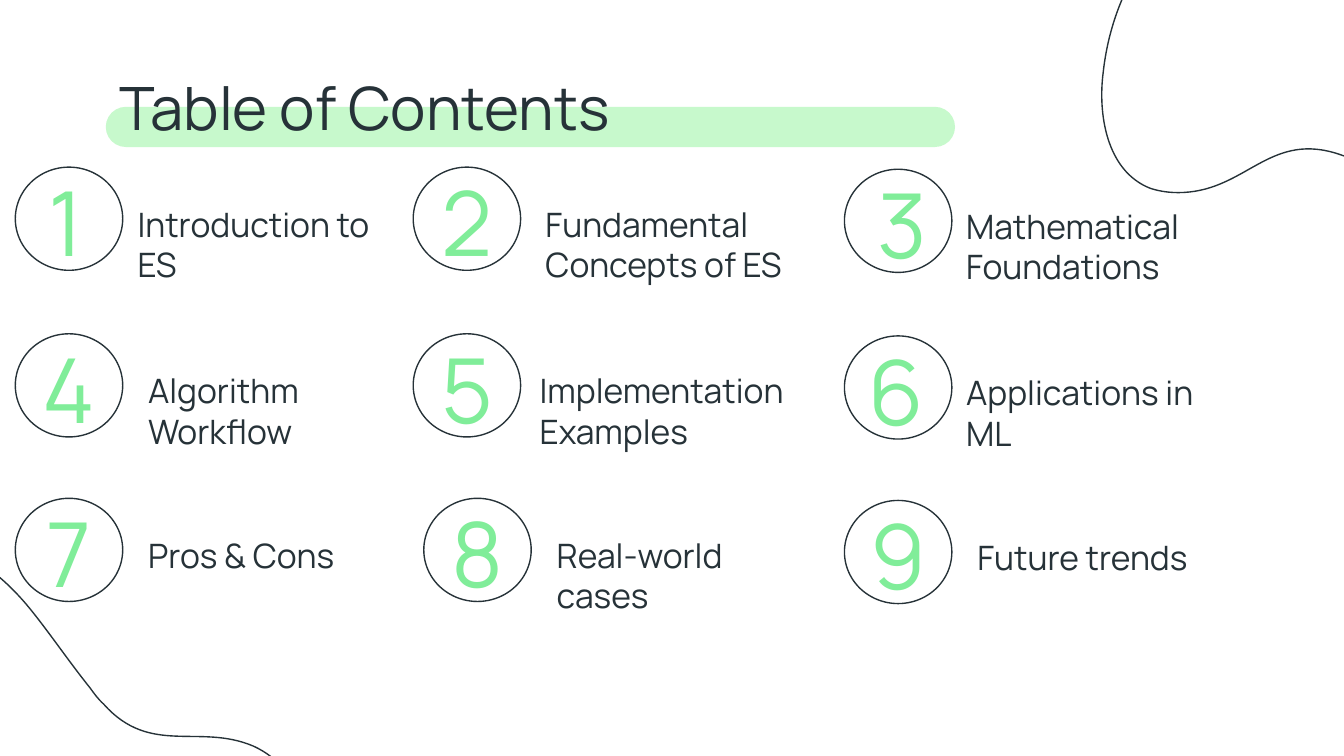
from collections import namedtuple
from dataclasses import dataclass

from lxml.etree import SubElement
from pptx import Presentation
from pptx.dml.color import RGBColor
from pptx.enum.shapes import MSO_SHAPE as Shape
from pptx.enum.text import MSO_ANCHOR as Anchor, PP_ALIGN as Align
from pptx.oxml.ns import qn
from pptx.util import Cm, Pt


@dataclass(frozen=True)
class Theme:
    font: str = "Manrope"
    ink: RGBColor = RGBColor(0x26, 0x32, 0x38)
    number: RGBColor = RGBColor(0x80, 0xED, 0x99)
    band: RGBColor = RGBColor(0xC7, 0xF9, 0xCC)
    title_size: int = 32
    label_size: int = 18
    number_size: int = 48
    line: float = 0.75


THEME = Theme()
Box = namedtuple("Box", "x y w h")  # centimetres
Entry = namedtuple("Entry", "text gap width shift nudge",
                   defaults=(2.26, 5.28, 0, 0))

# Closed curves: a start point, then control, control, end for each segment
TOP_BLOB = [
    (1.74, 3.56),
    (1.95, 3.63), (2.2, 3.66), (2.48, 3.63),
    (3.6, 3.51), (4.05, 2.49), (5.32, 2.92),
    (5.45, 2.97), (5.58, 3), (5.7, 3.05),
    (6.29, 3.28), (6.82, 3.56), (7.36, 3.76),
    (8.02, 4.01), (8.68, 4.17), (9.51, 4.04),
    (10.96, 3.86), (11.57, 3), (11.75, 1.8),
    (12.11, -0.28), (10.78, -1.8), (8.88, -2.54),
    (8.07, -2.84), (7.15, -3), (6.21, -3),
    (3.22, -3), (1.13, -1.17), (0.85, 1.37),
    (0.75, 2.13), (0.9, 3.23), (1.74, 3.56),
]
BOTTOM_BLOB = [
    (5.38, 4.55),
    (5.23, 4.38), (5.05, 4.22), (4.78, 4.1),
    (3.76, 3.67), (2.84, 4.3), (1.96, 3.31),
    (1.85, 3.21), (1.78, 3.11), (1.7, 3),
    (1.3, 2.5), (0.97, 2.01), (0.61, 1.56),
    (0.18, 1.02), (-0.33, 0.57), (-1.12, 0.24),
    (-2.46, -0.32), (-3.4, 0.13), (-4.19, 1.07),
    (-5.51, 2.7), (-5.13, 4.68), (-3.86, 6.26),
    (-3.3, 6.94), (-2.59, 7.53), (-1.78, 8.01),
    (0.81, 9.48), (3.53, 8.95), (5.05, 6.89),
    (5.51, 6.28), (5.94, 5.24), (5.38, 4.55),
]

ENTRIES = [
    [Entry("Introduction to ES", 2.06, nudge=-0.06),
     Entry("Fundamental Concepts of ES", 2.25, 5.49),
     Entry("Mathematical Foundations", 2.05, 5.69, nudge=0.07)],
    [Entry("Algorithm Workflow"),
     Entry("Implementation Examples", 2.14, 6.2),
     Entry("Applications in ML", 2.05, nudge=-0.04)],
    [Entry("Pros & Cons"),
     Entry("Real-world cases", shift=0.2),
     Entry("Future trends")],
]
COLUMNS = [(0.29, 0), (7.81, 0), (15.96, 0.04)]  # left edge, drop
ROWS = [3.16, 6.31, 9.42]
CIRCLE_W, CIRCLE_H = 2.03, 1.95


def place(box):
    return [Cm(v) for v in box]


def outline(sp):
    sp.shadow.inherit = False
    sp.fill.background()
    sp.line.color.rgb = THEME.ink
    sp.line.width = Pt(THEME.line)


def add_text(s, box, text, size, color, align=Align.LEFT, anchor=Anchor.TOP):
    tf = s.shapes.add_textbox(*place(box)).text_frame
    tf.word_wrap = True
    tf.vertical_anchor = anchor
    tf.margin_left = tf.margin_right = tf.margin_top = tf.margin_bottom = Cm(0.25)
    p = tf.paragraphs[0]
    p.text = text
    p.alignment = align
    p.font.name = THEME.font
    p.font.size = Pt(size)
    p.font.color.rgb = color


def add_blob(s, x, y, points):
    (start_x, start_y), *rest = [(Cm(x + px), Cm(y + py)) for px, py in points]
    fb = s.shapes.build_freeform(start_x, start_y)
    fb.add_line_segments(rest, close=True)
    sp = fb.convert_to_shape()
    outline(sp)
    # Join each three straight segments into one cubic curve
    lines = list(sp.element.iter(qn("a:lnTo")))
    for i in range(0, len(rest), 3):
        curve = SubElement(lines[i].getparent(), qn("a:cubicBezTo"))
        lines[i].addprevious(curve)
        for line in lines[i:i + 3]:
            curve.append(line[0])
            line.getparent().remove(line)


def add_title(s, box, text):
    # Highlight band behind the lower half of the title
    band = s.shapes.add_shape(
        Shape.ROUNDED_RECTANGLE, *place((box.x, box.y + 0.94, 16.05, 0.76)))
    band.adjustments[0] = 0.5
    band.shadow.inherit = False
    band.fill.solid()
    band.fill.fore_color.rgb = THEME.band
    band.line.fill.background()
    add_text(s, box, text, THEME.title_size, THEME.ink)


def add_entry(s, box, number, entry):
    # Circle, label, then the number centred on the circle
    outline(s.shapes.add_shape(Shape.OVAL, *place(box)))
    add_text(s, Box(box.x + entry.gap, box.y + 0.44, entry.width, 1.04),
             entry.text, THEME.label_size, THEME.ink)
    add_text(s, Box(box.x - 0.22 + entry.nudge, box.y + 0.04,
                    box.w + 0.44, box.h),
             str(number), THEME.number_size, THEME.number,
             Align.CENTER, Anchor.MIDDLE)


def add_contents(s, x, y):
    for row, (top, entries) in enumerate(zip(ROWS, ENTRIES)):
        for col, ((left, drop), entry) in enumerate(zip(COLUMNS, entries)):
            box = Box(x + left + entry.shift, y + top + drop,
                      CIRCLE_W, CIRCLE_H)
            add_entry(s, box, row * len(COLUMNS) + col + 1, entry)


def main():
    prs = Presentation()
    prs.slide_width, prs.slide_height = Cm(25.4), Cm(14.29)
    s = prs.slides.add_slide(prs.slide_layouts[6])

    # Corner decoration
    add_blob(s, 20, 0, TOP_BLOB)
    add_blob(s, 0, 10, BOTTOM_BLOB)

    add_title(s, Box(2, 1.08, 21.41, 1.7), "Table of Contents")
    add_contents(s, 0, 0)
    prs.save("out.pptx")


if __name__ == "__main__":
    main()
